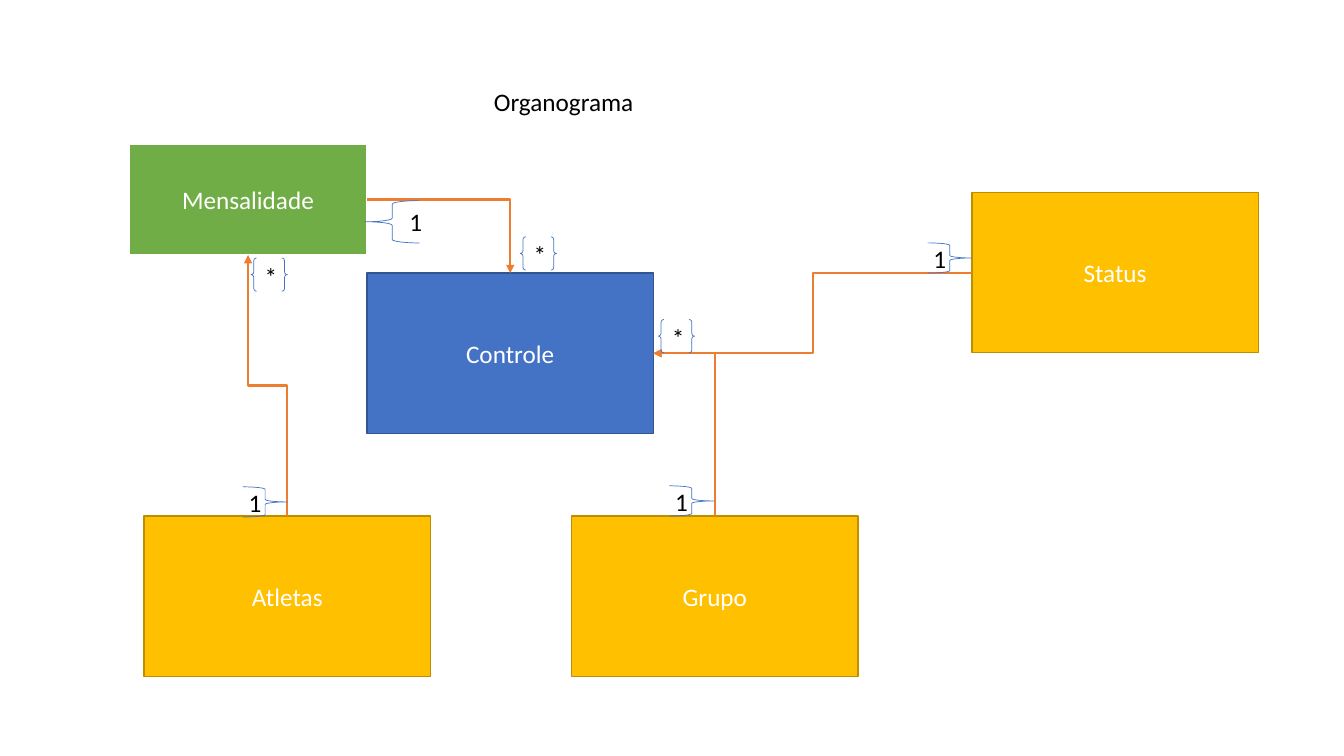
from pptx import Presentation
from pptx.dml.color import RGBColor
from pptx.enum.shapes import MSO_CONNECTOR, MSO_SHAPE
from pptx.enum.text import MSO_ANCHOR, MSO_AUTO_SIZE, PP_ALIGN
from pptx.oxml.ns import qn
from pptx.oxml.xmlchemy import OxmlElement
from pptx.util import Pt

RECT, RIGHT, PAIR = MSO_SHAPE.RECTANGLE, MSO_SHAPE.RIGHT_BRACE, MSO_SHAPE.DOUBLE_BRACE
ELBOW = MSO_CONNECTOR.ELBOW
TOP, MIDDLE = MSO_ANCHOR.TOP, MSO_ANCHOR.MIDDLE
CENTER, FIXED = PP_ALIGN.CENTER, MSO_AUTO_SIZE.NONE

# Content: lengths in px, 100 to the inch
PX = 9144
SLIDE = (1333, 750)
TITLE = ("Organograma", (314, 81, 490, 40))
BIG, SMALL = (284, 159), (236, 110)
BOXES = {  # name: (left, top), size, style
    "Controle": ((364, 271), BIG, "blue"),
    "Atletas": ((143, 512), BIG, "gold"),
    "Grupo": ((567, 512), BIG, "gold"),
    "Status": ((964, 191), BIG, "gold"),
    "Mensalidade": ((128, 143), SMALL, "green"),
}
LINKS = [  # from, side, to, side, bends
    ("Atletas", "top", "Mensalidade", "bottom", 2),
    ("Grupo", "top", "Controle", "right", 1),
    ("Status", "left", "Controle", "right", 2),
    ("Mensalidade", "right", "Controle", "top", 1),
]
ONE, MANY = (44, 30), (36, 33)
MARKS = [  # text, shape, (left, top), size, mirrored
    ("1", RIGHT, (241, 483), ONE, False),
    ("*", PAIR, (249, 256), MANY, False),
    ("1", RIGHT, (664, 482), ONE, False),
    ("*", PAIR, (653, 317), MANY, False),
    ("1", RIGHT, (920, 241), ONE, False),
    ("1", RIGHT, (362, 199), (54, 42), True),
    ("*", PAIR, (516, 235), MANY, False),
]
THEME = {
    "font": "Calibri", "size": 18, "text": "000000", "light": "FFFFFF",
    "blue": ("4472C4", "325491", 1),
    "gold": ("FFC000", "BD8E00", 1),
    "green": ("70AD47", "FFFFFF", 1.5),
    "link": ("ED7D31", 1.5),
    "mark": ("4472C4", 0.5),
}
SIDES = {"top": (0, 0.5, 0), "left": (1, 0, 0.5),
         "bottom": (2, 0.5, 1), "right": (3, 1, 0.5)}


def px(*vals):
    return [round(v * PX) for v in vals]


def rgb(code):
    return RGBColor.from_string(code)


def write(shape, text, color, anchor=MIDDLE):
    frame = shape.text_frame
    frame.word_wrap = True
    frame.vertical_anchor = anchor
    para = frame.paragraphs[0]
    para.alignment = CENTER
    run = para.add_run()
    run.text = text
    run.font.name = THEME["font"]
    run.font.size = Pt(THEME["size"])
    run.font.color.rgb = rgb(color)


def stroke(shape, color, width):
    shape.line.color.rgb = rgb(color)
    shape.line.width = Pt(width)


def add(kind, spot, size):
    shape = slide.shapes.add_shape(kind, *px(*spot, *size))
    shape.shadow.inherit = False
    return shape


def port(name, side):
    (x, y), (w, h), _ = BOXES[name]
    site, fx, fy = SIDES[side]
    return site, x + w * fx, y + h * fy


def link(start, out, end, into, bends):
    site1, x1, y1 = port(start, out)
    site2, x2, y2 = port(end, into)
    line = slide.shapes.add_connector(ELBOW, *px(x1, y1, x2, y2))
    line.begin_connect(nodes[start], site1)
    line.end_connect(nodes[end], site2)
    props = line._element.spPr
    if out == "top":  # turn the box so that the line sets off upwards
        w, h = abs(y2 - y1), abs(x2 - x1)
        line.left, line.top, line.width, line.height = px(
            (x1 + x2 - w) / 2, (y1 + y2 - h) / 2, w, h)
        frame = props.find(qn("a:xfrm"))
        for key, val in (("rot", "16200000"), ("flipH", "0"), ("flipV", "1")):
            frame.set(key, val)
    props.find(qn("a:prstGeom")).set("prst", f"bentConnector{bends + 1}")
    stroke(line, *THEME["link"])
    tip = OxmlElement("a:tailEnd")
    tip.set("type", "triangle")
    props.find(qn("a:ln")).append(tip)
    props.append(OxmlElement("a:effectLst"))


# Slide and title
deck = Presentation()
deck.slide_width, deck.slide_height = px(*SLIDE)
slide = deck.slides.add_slide(deck.slide_layouts[5])
text, area = TITLE
title = slide.shapes.title
title.left, title.top, title.width, title.height = px(*area)
write(title, text, THEME["text"], TOP)
title.text_frame.auto_size = FIXED

# Boxes
nodes = {}
for name, (spot, size, style) in BOXES.items():
    fill, edge, width = THEME[style]
    box = nodes[name] = add(RECT, spot, size)
    box.fill.solid()
    box.fill.fore_color.rgb = rgb(fill)
    stroke(box, edge, width)
    write(box, name, THEME["light"])

# Links
for row in LINKS:
    link(*row)

# Braces with counts
for text, kind, spot, size, flip in MARKS:
    brace = add(kind, spot, size)
    brace.fill.background()
    stroke(brace, *THEME["mark"])
    write(brace, text, THEME["text"])
    if flip:
        brace._element.spPr.find(qn("a:xfrm")).set("flipH", "1")

deck.save("out.pptx")
